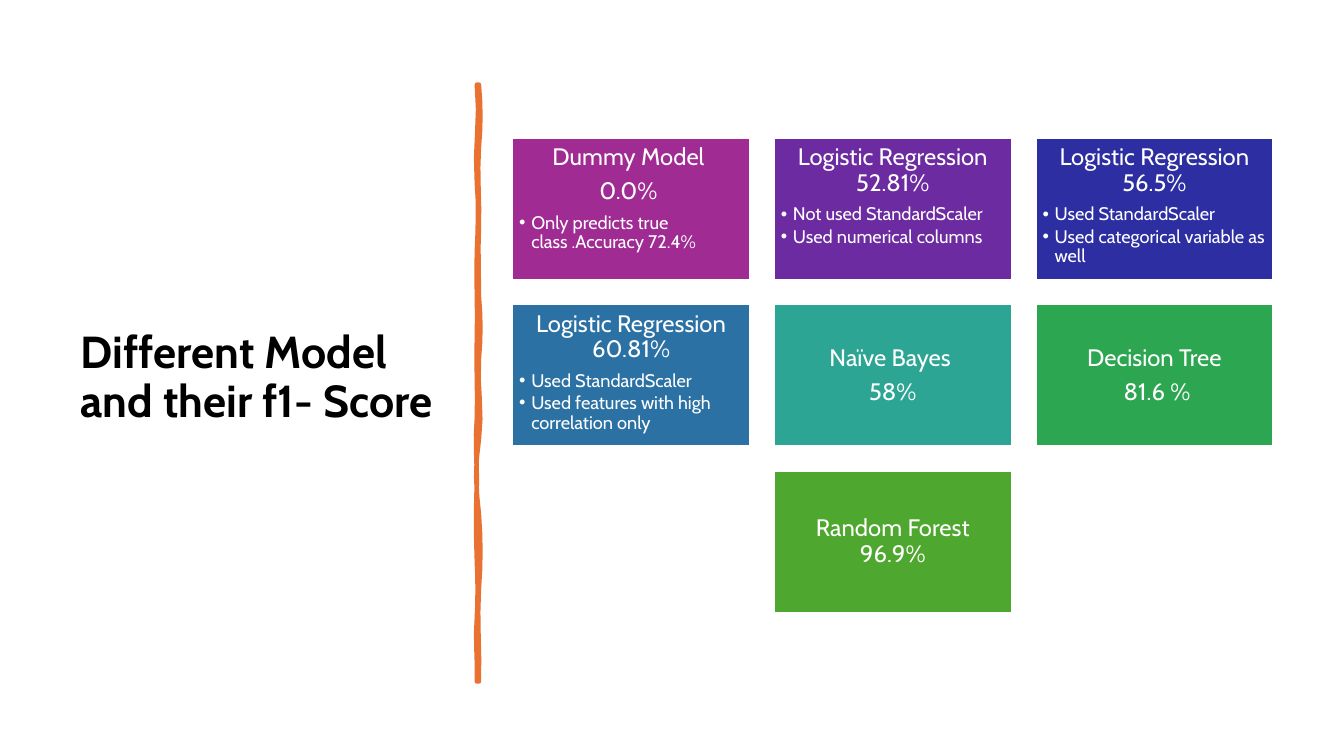
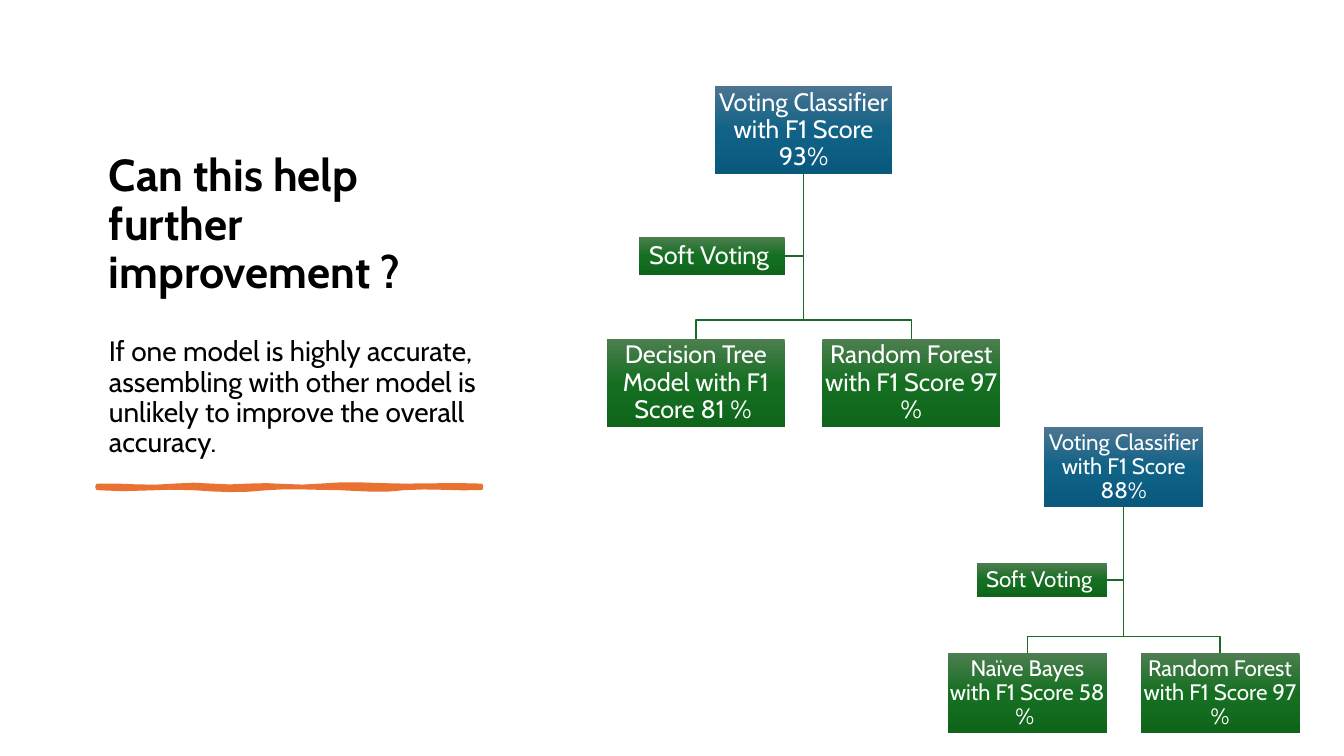
from copy import deepcopy

from lxml import etree
from pptx import Presentation
from pptx.dml.color import RGBColor
from pptx.enum.shapes import MSO_SHAPE
from pptx.enum.text import MSO_ANCHOR, MSO_AUTO_SIZE, PP_ALIGN
from pptx.oxml.ns import qn
from pptx.util import Inches, Pt

RECT = MSO_SHAPE.RECTANGLE
TOP, MIDDLE, BOTTOM = MSO_ANCHOR.TOP, MSO_ANCHOR.MIDDLE, MSO_ANCHOR.BOTTOM
LEFT, CENTER = PP_ALIGN.LEFT, PP_ALIGN.CENTER

FONT = "Cabin"
TITLE_ONLY = 5
COLORS = {
    "text": "000000", "white": "FFFFFF", "accent": "E97132", "link": "196B24",
    "magenta": "A02B93", "purple": "6C2BA1", "indigo": "2C2EA2", "blue": "2C71A4",
    "teal": "2DA594", "green": "2DA651", "lime": "4EA72E",
}
GRADIENTS = {
    "root": ("4C7591", "106287", "09597D"),
    "node": ("4D7E50", "156F21", "0F661B"),
}

# Heading lines, bullets and colour of each model card
MODELS = [
    (["Dummy Model ", "0.0% "], ["Only predicts true\vclass .Accuracy 72.4%"], "magenta"),
    (["Logistic Regression 52.81%"],
     ["Not used StandardScaler", "Used numerical columns"], "purple"),
    (["Logistic Regression 56.5%"],
     ["Used StandardScaler", "Used categorical variable as well"], "indigo"),
    (["Logistic Regression 60.81%"],
     ["Used StandardScaler", "Used features with high correlation only"], "blue"),
    (["Naïve Bayes ", "58%"], [], "teal"),
    (["Decision Tree", " 81.6 %"], [], "green"),
    (["Random Forest\v96.9%"], [], "lime"),
]

# Brush edges: (end position, two control offsets in hundredths of an inch)
DIVIDER = (
    [(1.46, 2, 2), (2.26, -2, 1), (2.94, -1, 0), (3.56, 2, 2), (4.36, -2, 4),
     (5.1, -4, -3), (5.84, 2, 2), (6.76, -2, 1)],
    [(6.13, 1, -2), (5.57, 1, 1), (4.77, -1, -1), (4.15, 0, -2), (3.35, 1, -1),
     (2.5, 1, -1), (1.81, 1, 2), (0.84, -3, 4)],
)
UNDERLINE = (
    [(1.73, -1, 3), (2.46, -3, 3), (3.18, -2, 3), (4.01, -3, 0), (4.77, 0, -1)],
    [(4.01, 1, -2), (3.37, 3, 1), (2.65, 0, -2), (1.92, 3, 2), (0.97, -2, 3)],
)


def rgb(name):
    return RGBColor.from_string(COLORS[name])


def write(p, text, size, color="white", bold=False, **layout):
    p.text = text
    for name, value in {"line_spacing": 0.9, "alignment": CENTER, **layout}.items():
        setattr(p, name, value)
    for r in p.runs:
        for name, value in {"name": FONT, "size": Pt(size), "bold": bold}.items():
            setattr(r.font, name, value)
        r.font.color.rgb = rgb(color)
    for br in p._p.findall(qn("a:br")):
        br.append(deepcopy(p.runs[0]._r.rPr))


def add_bullet(p, indent):
    pPr = p._p.get_or_add_pPr()
    pPr.set("marL", str(Inches(indent)))
    pPr.set("indent", str(-Inches(indent)))
    etree.SubElement(pPr, qn("a:buFont")).set("typeface", "Arial")
    etree.SubElement(pPr, qn("a:buChar")).set("char", "•")


def setup_frame(tf, anchor, margin):
    values = {"word_wrap": True, "auto_size": MSO_AUTO_SIZE.NONE, "vertical_anchor": anchor}
    for side in ("left", "right", "top", "bottom"):
        values["margin_" + side] = Inches(margin)
    for name, value in values.items():
        setattr(tf, name, value)


def place_title(s, text, x, y, w, h, anchor=MIDDLE):
    sp = s.shapes.title
    for name, value in {"left": x, "top": y, "width": w, "height": h}.items():
        setattr(sp, name, Inches(value))
    tf = sp.text_frame
    setup_frame(tf, anchor, 0.1)
    tf.margin_top = tf.margin_bottom = Inches(0.05)
    write(tf.paragraphs[0], text, 32, "text", True, alignment=LEFT)
    return tf


def add_rect(s, x, y, w, h):
    sp = s.shapes.add_shape(RECT, *map(Inches, (x, y, w, h)))
    sp.shadow.inherit = False
    return sp


def add_outline(s, points, color, line_width, close):
    """Draw a freeform through points given in inches."""
    start, *rest = [(Inches(x), Inches(y)) for x, y in points]
    builder = s.shapes.build_freeform(*start)
    builder.add_line_segments(rest, close=close)
    sp = builder.convert_to_shape()
    sp.shadow.inherit = False
    sp.line.color.rgb = rgb(color)
    sp.line.width = Pt(line_width)
    if close:
        sp.fill.solid()
        sp.fill.fore_color.rgb = rgb(color)
    else:
        sp.fill.background()


def brush_line(s, edges, start, across, width, vertical=False):
    """Draw a wavy stroke whose two edges run out from start and back."""
    points, here = [(start, across)], start
    for edge, base in zip(edges, (across, across + width)):
        points.append((here, base))
        for end, a, b in edge:
            for t in (0.25, 0.5, 0.75, 1):
                bend = 3 * t * (1 - t) * ((1 - t) * a + t * b) / 100
                points.append((here + (end - here) * t, base + bend))
            here = end
    if vertical:
        points = [(y, x) for x, y in points]
    add_outline(s, points, "accent", 3.25, close=True)


def model_card(s, x, y, w, h, heading, bullets, color):
    sp = add_rect(s, x, y, w, h)
    sp.fill.solid()
    sp.fill.fore_color.rgb = rgb(color)
    sp.line.color.rgb = rgb("white")
    sp.line.width = Pt(1.5)
    tf = sp.text_frame
    setup_frame(tf, TOP if bullets else MIDDLE, 0.07)
    for i, text in enumerate(heading):
        p = tf.add_paragraph() if i else tf.paragraphs[0]
        write(p, text, 17, space_after=Pt(6))
    for text in bullets:
        p = tf.add_paragraph()
        write(p, text, 13, space_after=Pt(2), alignment=LEFT)
        add_bullet(p, 0.12)


def card_grid(s, x, y, w, h, cols=3, card_w=2.36, card_h=1.41):
    """Fill the box row by row and centre a short last row."""
    rows = -(-len(MODELS) // cols)
    step_x = (w - card_w) / (cols - 1)
    step_y = (h - card_h) / (rows - 1)
    for i, model in enumerate(MODELS):
        row, col = divmod(i, cols)
        in_row = min(cols, len(MODELS) - row * cols)
        col += (cols - in_row) / 2
        model_card(s, x + col * step_x, y + row * step_y, card_w, card_h, *model)


def tree_node(s, x, y, w, h, text, size, kind="node"):
    sp = add_rect(s, x, y, w, h)
    sp.line.fill.background()
    sp.fill.gradient()
    sp.fill.gradient_angle = 270
    stop_list = sp._element.spPr.find(qn("a:gradFill")).find(qn("a:gsLst"))
    stop_list.append(deepcopy(stop_list[0]))
    for i, (stop, color) in enumerate(zip(sp.fill.gradient_stops, GRADIENTS[kind])):
        stop.position = i / 2
        stop.color.rgb = RGBColor.from_string(color)
    setup_frame(sp.text_frame, MIDDLE, 0.01)
    write(sp.text_frame.paragraphs[0], text, size)


def voting_tree(s, x, y, w, h, root_text, child_texts, size):
    node_w, helper_w, helper_h = 0.452 * w, 0.37 * w, 0.0975 * w
    node_h = node_w / 2
    mid, root_y, child_y = x + w / 2, y + node_h, y + h - node_h
    bar_y, helper_y = child_y - 0.047 * w, y + 0.385 * w
    helper_mid = helper_y + helper_h / 2
    child_lefts = (x, x + w - node_w)

    bends = [[(mid, helper_mid), (x + node_w, helper_mid)]]
    for left in reversed(child_lefts):
        child_mid = left + node_w / 2
        bends.append([(mid, bar_y), (child_mid, bar_y), (child_mid, child_y)])
    for bend in bends:
        add_outline(s, [(mid, root_y), *bend], "link", 1, close=False)

    tree_node(s, mid - node_w / 2, y, node_w, node_h, root_text, size, "root")
    for left, text in zip(child_lefts, child_texts):
        tree_node(s, left, child_y, node_w, node_h, text, size)
    tree_node(s, x + node_w - helper_w, helper_y, helper_w, helper_h, "Soft Voting ", size)


def scores_slide(s):
    place_title(s, "Different Model and their f1- Score", 0.7, 0.7, 3.74, 6.11)
    # The divider's first edge is its right one, so the width runs leftwards
    brush_line(s, DIVIDER, 0.84, 4.75, -0.02, vertical=True)
    card_grid(s, 5.08, 1.37, 7.55, 4.71)


def voting_slide(s):
    tf = place_title(s, "Can this help further improvement ?", 0.98, 0.7, 4.05, 3.9, BOTTOM)
    write(tf.add_paragraph(),
          "If one model is highly accurate, assembling with other model is "
          "unlikely to improve the overall accuracy.",
          20, "text", alignment=LEFT, space_before=Pt(28))
    brush_line(s, UNDERLINE, 0.97, 4.82, 0.02)
    voting_tree(s, 9.4, 4.24, 3.49, 3.03, "Voting Classifier with F1 Score 88%",
                ["Naïve Bayes with F1 Score 58 % ", "Random Forest with F1 Score 97 %"], 16)
    voting_tree(s, 6.02, 0.85, 3.9, 3.39, "Voting Classifier with F1 Score 93%",
                ["Decision Tree Model with F1 Score 81 % ",
                 "Random Forest with F1 Score 97 %"], 18)


def main():
    prs = Presentation()
    prs.slide_width, prs.slide_height = Inches(13.33), Inches(7.5)
    for build in (scores_slide, voting_slide):
        build(prs.slides.add_slide(prs.slide_layouts[TITLE_ONLY]))
    prs.save("out.pptx")


if __name__ == "__main__":
    main()
